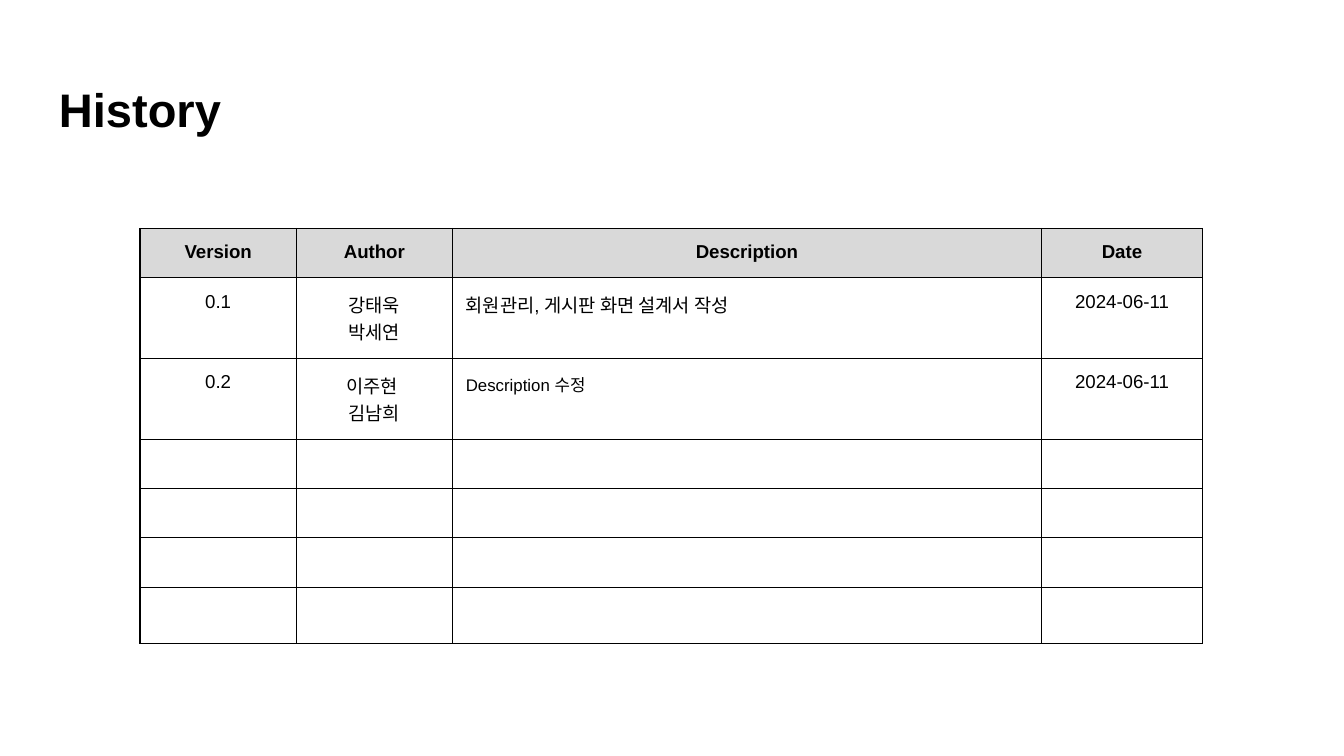
from lxml import etree
from pptx import Presentation
from pptx.dml.color import RGBColor
from pptx.enum import text
from pptx.oxml import ns
from pptx.util import Pt

HEADERS = ["Version", "Author", "Description", "Date"]
REVISIONS = [
    ["0.1", "강태욱\n박세연", "회원관리, 게시판 화면 설계서 작성", "2024-06-11"],
    ["0.2", "이주현 \n김남희", "Description 수정", "2024-06-11"],
]
EMPTY_ROWS = 4
COLUMN_WIDTHS = [83.7, 83.7, 315.5, 86.4]
ROW_HEIGHTS = [25.6, 43.2, 43.2, 25.6, 25.6, 25.6, 30]


def color(value):
    return RGBColor.from_string(value)


def write(frame, content, size=10, bold=False, align=text.PP_ALIGN.LEFT,
          font="Arial", ink="000000"):
    """Fill a text frame, one paragraph per line of content."""
    for index, line in enumerate(content.split("\n")):
        paragraph = frame.add_paragraph() if index else frame.paragraphs[0]
        paragraph.alignment = align
        if not line:
            # The end mark sets the height of an empty line
            etree.SubElement(paragraph._p, ns.qn("a:endParaRPr"), sz=str(size * 100))
            continue
        run = paragraph.add_run()
        run.text = line
        run.font.name = font
        run.font.size = Pt(size)
        run.font.bold = bold
        run.font.color.rgb = color(ink)


class HistorySlide:
    INSET = Pt(7.2)
    LINE = "000000"
    LINE_WIDTH = Pt(0.75)
    HEADER_FILL = "D9D9D9"

    def __init__(self, deck):
        self.slide = deck.slides.add_slide(deck.slide_layouts[6])

    def inset(self, target):
        target.margin_left = target.margin_right = self.INSET
        target.margin_top = target.margin_bottom = self.INSET

    def title(self, content, left, top, width, height):
        frame = self.slide.shapes.add_textbox(
            Pt(left), Pt(top), Pt(width), Pt(height)).text_frame
        frame.word_wrap = True
        frame.vertical_anchor = text.MSO_ANCHOR.MIDDLE
        self.inset(frame)
        write(frame, content, size=25.2, bold=True)

    def border(self, cell):
        properties = cell._tc.get_or_add_tcPr()
        for position, side in enumerate(("lnL", "lnR", "lnT", "lnB")):
            line = etree.Element(ns.qn(f"a:{side}"), w=str(self.LINE_WIDTH))
            fill = etree.SubElement(line, ns.qn("a:solidFill"))
            etree.SubElement(fill, ns.qn("a:srgbClr"), val=self.LINE)
            properties.insert(position, line)

    def cell(self, cell, content, header=False, **style):
        self.inset(cell)
        if header:
            cell.fill.solid()
            cell.fill.fore_color.rgb = color(self.HEADER_FILL)
        else:
            cell.fill.background()
        self.border(cell)
        write(cell.text_frame, content, bold=header, **style)

    def table(self, rows, left, top, widths, heights):
        grid = self.slide.shapes.add_table(
            len(rows), len(widths), Pt(left), Pt(top),
            Pt(sum(widths)), Pt(sum(heights))).table
        grid.horz_banding = False
        for column, width in zip(grid.columns, widths):
            column.width = Pt(width)
        for row, height in zip(grid.rows, heights):
            row.height = Pt(height)
        description = HEADERS.index("Description")
        for r, row in enumerate(rows):
            for c, content in enumerate(row):
                left_aligned = r > 0 and c == description
                self.cell(
                    grid.cell(r, c), content, header=r == 0,
                    size=9 if content == "Description 수정" else 10,
                    align=text.PP_ALIGN.LEFT if left_aligned else text.PP_ALIGN.CENTER)


def main():
    deck = Presentation()
    deck.slide_width, deck.slide_height = Pt(720), Pt(405)
    history = HistorySlide(deck)
    history.title("History", 24.5, 35.3, 671, 45.4)
    blanks = [[""] * len(HEADERS)] * EMPTY_ROWS
    history.table([HEADERS, *REVISIONS, *blanks], 75, 122.4,
                  COLUMN_WIDTHS, ROW_HEIGHTS)
    deck.save("out.pptx")


if __name__ == "__main__":
    main()
